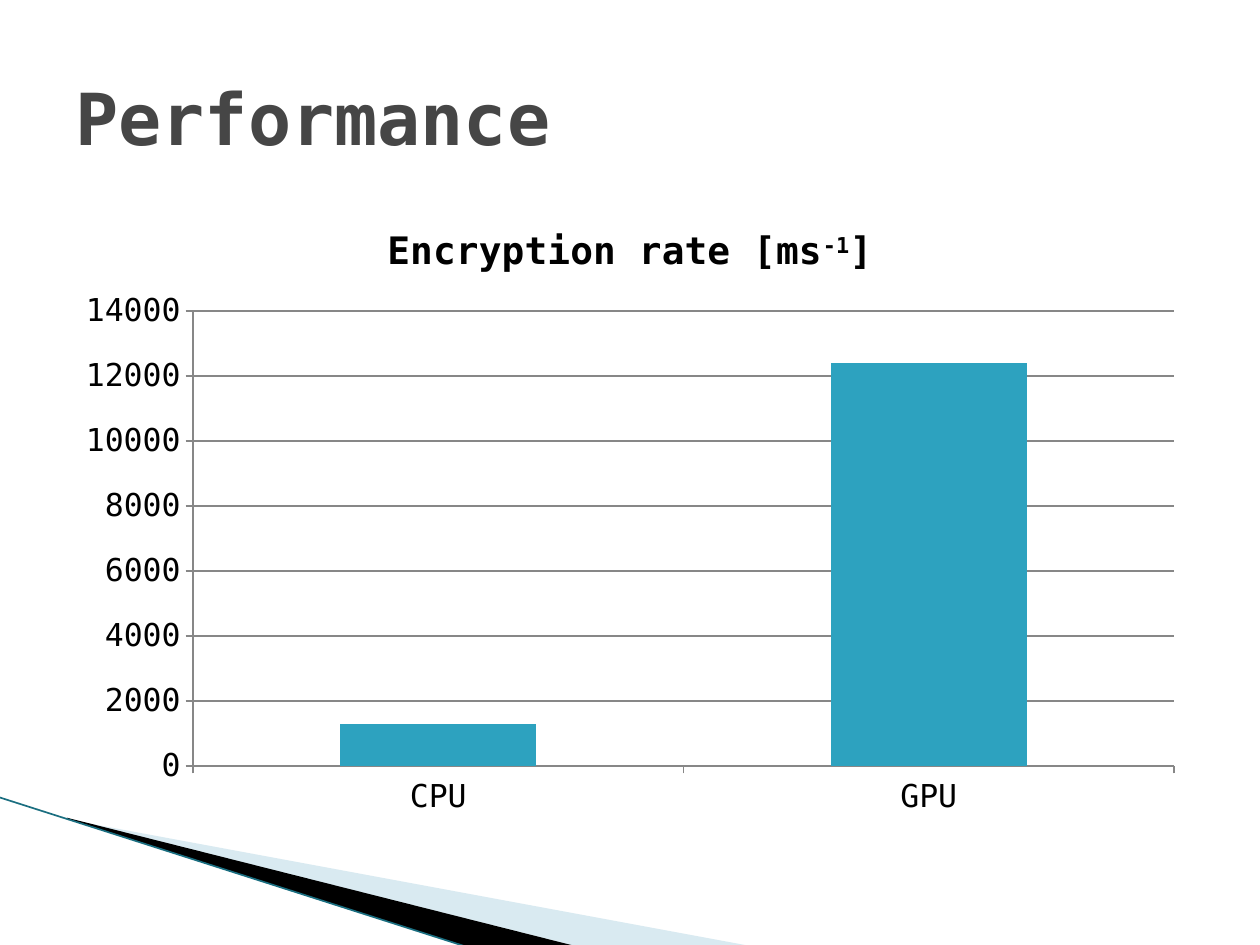
from pptx import Presentation
from pptx.chart.data import CategoryChartData
from pptx.dml.color import RGBColor
from pptx.enum.chart import XL_CHART_TYPE as ChartType, XL_TICK_MARK as TickMark
from pptx.enum.shapes import MSO_CONNECTOR as Connector
from pptx.enum.text import MSO_ANCHOR as Anchor
from pptx.oxml import parse_xml
from pptx.oxml.ns import nsdecls, qn
from pptx.util import Pt
from lxml import etree

FONT = "DejaVu Sans Mono"
COLORS = {
    "title": "464646", "text": "000000", "bar": "2DA2BF", "axis": "878787",
    "pale": "A0CBDC", "dark": "000000", "edge": "1A6E80",
}


def rgb(name):
    return RGBColor.from_string(COLORS[name])


def add_run(paragraph, text, *, size, color="text", bold=True, baseline=None):
    run = paragraph.add_run()
    run.text = text
    run.font.name = FONT
    run.font.size = Pt(size)
    run.font.bold = bold
    run.font.color.rgb = rgb(color)
    if baseline is not None:
        run.font._element.set("baseline", str(baseline))


presentation = Presentation()
presentation.slide_width, presentation.slide_height = Pt(720), Pt(540)
slide = presentation.slides.add_slide(presentation.slide_layouts[6])

# Corner wedges: fill, opacity in percent, outline points
wedges = [
    ("pale", 40, [(39.6, 468.5), (428.4, 540.5), (328.5, 540.5), (39.6, 468)]),
    ("dark", 100, [(38.2, 467.3), (329, 540.7), (267.8, 541.4), (38.9, 468)]),
]
for color, opacity, points in wedges:
    start, *others = [(Pt(x), Pt(y)) for x, y in points]
    builder = slide.shapes.build_freeform(*start)
    builder.add_line_segments(others, close=True)
    wedge = builder.convert_to_shape()
    wedge.shadow.inherit = False
    wedge.fill.solid()
    wedge.fill.fore_color.rgb = rgb(color)
    wedge.line.fill.background()
    if opacity < 100:
        fill_color = wedge._element.spPr.find(".//" + qn("a:srgbClr"))
        etree.SubElement(fill_color, qn("a:alpha")).set("val", str(opacity * 1000))

edge = slide.shapes.add_connector(
    Connector.STRAIGHT, Pt(-0.5), Pt(455.6), Pt(267.4), Pt(541.3))
edge.line.color.rgb = rgb("edge")
edge.line.width = Pt(0.95)
etree.SubElement(edge._element.spPr, qn("a:effectLst"))

# Encryption rate chart
chart_left, chart_top, chart_width, chart_height = 36, 116.6, 648, 356.4
data = CategoryChartData()
data.categories = ["CPU", "GPU"]
data.add_series("Encryption rate [ms-1]", [1300, 12400])
chart = slide.shapes.add_chart(
    ChartType.COLUMN_CLUSTERED, Pt(chart_left), Pt(chart_top),
    Pt(chart_width), Pt(chart_height), data).chart
chart.has_legend = False
chart.font.name = FONT
chart.font.size = Pt(18)
chart.font.color.rgb = rgb("text")

chart.has_title = True
chart.chart_title.include_in_layout = False
heading = chart.chart_title.text_frame.paragraphs[0]
for text, baseline in [("Encryption rate [ms", None), ("-1", 30000), ("]", None)]:
    add_run(heading, text, size=21.6, baseline=baseline)

plot = chart.plots[0]
plot.gap_width = 150
plot.vary_by_categories = False
bars = plot.series[0].format.fill
bars.solid()
bars.fore_color.rgb = rgb("bar")

value_axis = chart.value_axis
value_axis.minimum_scale, value_axis.maximum_scale = 0, 14000
value_axis.major_unit = 2000
value_axis.has_major_gridlines = True
for axis in (chart.category_axis, value_axis):
    axis.major_tick_mark = TickMark.OUTSIDE
    axis.minor_tick_mark = TickMark.NONE
for lined in (chart.category_axis, value_axis, value_axis.major_gridlines):
    lined.format.line.color.rgb = rgb("axis")
    lined.format.line.width = Pt(0.75)

# Inner plot area as fractions of the chart
fractions = {
    "x": (110.3 - chart_left) / chart_width,
    "y": (177.8 - chart_top) / chart_height,
    "w": 560.6 / chart_width,
    "h": 260 / chart_height,
}
places = "".join(f'<c:{key} val="{value:.4f}"/>' for key, value in fractions.items())
layout = parse_xml(
    f'<c:layout {nsdecls("c")}><c:manualLayout><c:layoutTarget val="inner"/>'
    f'<c:xMode val="edge"/><c:yMode val="edge"/>{places}</c:manualLayout></c:layout>')
plot_area = chart._chartSpace.chart.plotArea
for old_layout in plot_area.findall(qn("c:layout")):
    plot_area.remove(old_layout)
plot_area.insert(0, layout)

# Slide title
title = slide.shapes.add_textbox(Pt(36), Pt(21.6), Pt(648), Pt(90))
title.text_frame.word_wrap = True
title.text_frame.vertical_anchor = Anchor.MIDDLE
add_run(title.text_frame.paragraphs[0], "Performance", size=41, color="title")

presentation.save("out.pptx")
